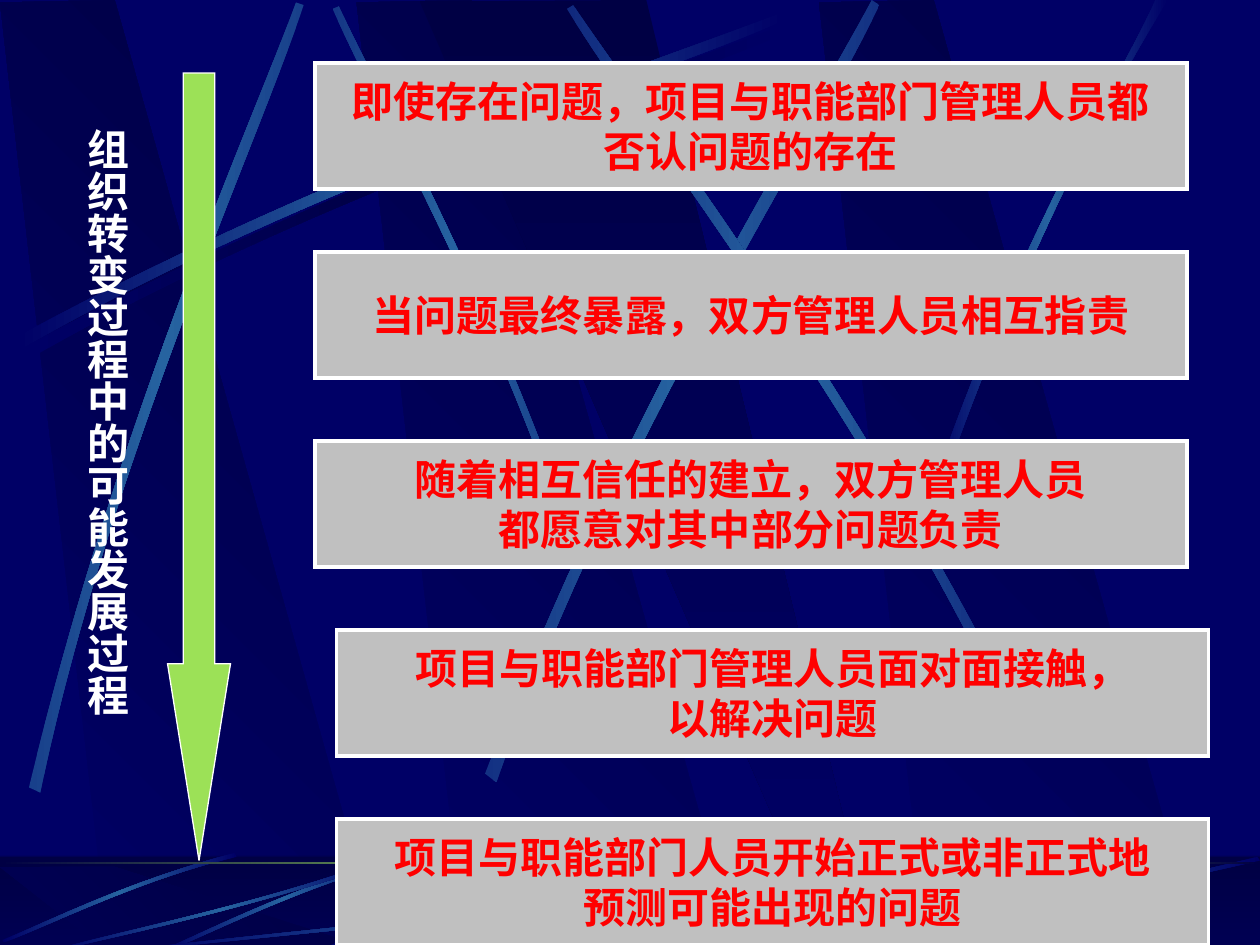
from dataclasses import dataclass

from lxml import etree
from pptx import Presentation
from pptx.dml.color import RGBColor
from pptx.enum.shapes import MSO_SHAPE
from pptx.enum.text import MSO_ANCHOR, MSO_AUTO_SIZE, PP_ALIGN
from pptx.oxml.ns import qn
from pptx.util import Inches, Pt

RECT, DOWN_ARROW = MSO_SHAPE.RECTANGLE, MSO_SHAPE.DOWN_ARROW
CENTER, MIDDLE = PP_ALIGN.CENTER, MSO_ANCHOR.MIDDLE
GROW = MSO_AUTO_SIZE.SHAPE_TO_FIT_TEXT

NAVY = RGBColor(0x00, 0x00, 0x66)
DARK = RGBColor(0x00, 0x00, 0x44)
BLUE = RGBColor(0x26, 0x63, 0xA0)
GREEN = RGBColor(0x9C, 0xE1, 0x57)
GREY = RGBColor(0xC0, 0xC0, 0xC0)
RED = RGBColor(0xFF, 0x00, 0x00)
WHITE = RGBColor(0xFF, 0xFF, 0xFF)
FONT = "Times New Roman"

Point = tuple[float, float]
FLOOR_TOP, FLOOR_SCALE = 6.88, 0.09


@dataclass
class Streak:
    """A thin blade between two Bezier edges; span is the gradient's width."""
    out: list[Point]
    back: list[Point]
    span: float = 0
    glow: RGBColor = BLUE


@dataclass
class Stage:
    left: float
    lines: list[str]


PANEL = [(0.86, 7.5), (3.02, 7.52), (0.91, 0), (0, 0.02)]
WEDGE = [(3.33, 0.01), (6.58, 7.51), (6.94, 7.51), (5.13, 0)]

WALL_STREAKS = [
    Streak([(0.2, 2.75), (2.84, 1.34), (5.24, 0.59), (6.26, 0.18)],
           [(6.29, 0.24), (5.28, 0.69), (2.54, 1.51), (0.23, 2.85)], glow=DARK),
    Streak([(4.6, 4.36), (3.91, 2.34), (3.02, 0.77), (2.69, 0.05)],
           [(2.64, 0.07), (2.95, 0.79), (3.98, 2.58), (4.54, 4.39)], 4.42),
    Streak([(0.14, 2.67), (2.78, 1.25), (5.18, 0.51), (6.2, 0.1)],
           [(6.23, 0.16), (5.22, 0.61), (2.48, 1.43), (0.17, 2.77)]),
    Streak([(0.23, 6.25), (0.93, 3.34), (1.97, 1.05), (2.35, 0.02)],
           [(2.41, 0.04), (2.07, 1.08), (0.86, 3.68), (0.32, 6.29)], 6.08),
    Streak([(3.85, 6.14), (4.98, 3.2), (6.38, 1.02), (6.92, 0)],
           [(6.98, 0.04), (6.49, 1.08), (4.86, 3.55), (3.94, 6.21)], 6.24),
    Streak([(8.06, 5.6), (6.7, 2.93), (5.16, 0.95), (4.55, 0.04)],
           [(4.5, 0.07), (5.07, 1.01), (6.85, 3.25), (7.99, 5.66)], 6.08),
    Streak([(7.38, 3.93), (8.14, 1.73), (8.88, 0.66), (9.17, 0)],
           [(9.27, 0), (8.36, 1.45), (7.69, 3.22), (7.44, 3.97)]),
]


def steep(dx: float) -> Streak:
    return Streak([(x + dx, y) for x, y in [(3.17, 6.8), (2.3, 7.05), (1.62, 7.4), (1.31, 7.53)]],
                  [(x + dx, y) for x, y in [(1.32, 7.55), (1.63, 7.43), (2.4, 7.03), (3.19, 6.83)]])


def shallow(left: float, width: float, top: float = 6.8) -> Streak:
    """A floor streak fitted between top and the slide's foot."""
    def fit(points: list[Point]) -> list[Point]:
        return [(left + x * width, top + y * (7.55 - top)) for x, y in points]
    return Streak(fit([(1, 0.04), (0.57, 0.57), (0.17, 0.85), (0.005, 1)]),
                  fit([(0, 0.99), (0.165, 0.81), (0.615, 0.51), (0.995, 0)]))


FLOOR_STREAKS = [
    Streak([(6.27, 6.82), (5.37, 7.09), (4.77, 7.42), (4.48, 7.54)],
           [(4.53, 7.55), (4.9, 7.37), (5.71, 7), (6.28, 6.85)]),
    steep(1.25), steep(0),
    Streak([(1.86, 6.77), (0.99, 7), (0.33, 7.34), (0.02, 7.46)],
           [(0.03, 7.48), (0.34, 7.37), (1.1, 6.98), (1.88, 6.8)]),
    shallow(1, 6.17), shallow(0.42, 2.67), shallow(5.27, 2.31, 6.89),
    shallow(6.92, 2.67), shallow(6, 4),
]

STAGES = [
    Stage(2.5, ["即使存在问题，项目与职能部门管理人员都", "否认问题的存在"]),
    Stage(2.5, ["当问题最终暴露，双方管理人员相互指责"]),
    Stage(2.5, ["随着相互信任的建立，双方管理人员", "都愿意对其中部分问题负责"]),
    Stage(2.67, ["项目与职能部门管理人员面对面接触，", "以解决问题"]),
    Stage(2.67, ["项目与职能部门人员开始正式或非正式地", "预测可能出现的问题"]),
]


def set_gradient(sp, colors: list[RGBColor], angle: int) -> None:
    """Fill with evenly spaced stops; angle is clockwise degrees."""
    sp.fill.gradient()
    grad = sp._element.spPr.find(qn("a:gradFill"))
    stops = grad.find(qn("a:gsLst"))
    for stop in list(stops):
        stops.remove(stop)
    for i, color in enumerate(colors):
        gs = etree.SubElement(stops, qn("a:gs"), pos=str(100000 * i // (len(colors) - 1)))
        etree.SubElement(gs, qn("a:srgbClr"), val=str(color))
    grad.find(qn("a:lin")).set("ang", str(angle * 60000))


def add_outline(parent, points: list[Point], colors: list[RGBColor], angle: int):
    pts = [(Inches(x), Inches(y)) for x, y in points]
    builder = parent.shapes.build_freeform(*pts[0], scale=1.0)
    builder.add_line_segments(pts[1:], close=True)
    sp = builder.convert_to_shape()
    sp.shadow.inherit = False
    sp.line.fill.background()
    set_gradient(sp, colors, angle)
    return sp


def add_shape(parent, kind, left: float, top: float, width: float, height: float):
    sp = parent.shapes.add_shape(kind, Inches(left), Inches(top), Inches(width), Inches(height))
    sp.shadow.inherit = False
    sp.line.fill.background()
    return sp


def set_solid(sp, color: RGBColor, line_width: float) -> None:
    sp.fill.solid()
    sp.fill.fore_color.rgb = color
    sp.line.color.rgb = WHITE
    sp.line.width = Pt(line_width)
    etree.SubElement(sp._element.spPr.find(qn("a:ln")), qn("a:miter"), lim="800000")


def add_streak(parent, streak: Streak) -> None:
    points = streak.out + streak.back
    xs = [x for x, _ in points]
    # Where the gradient is wider than the blade, its ends keep part of the glow
    glow = 1 - (max(xs) - min(xs)) / streak.span if streak.span else 0
    edge = RGBColor(*(round(n + (g - n) * glow) for n, g in zip(NAVY, streak.glow)))
    sp = add_outline(parent, points, [edge, streak.glow, edge], 0)
    # Turn the three segments of each edge into one cubic curve
    outline = next(sp._element.iter(qn("a:path")))
    segments = outline.findall(qn("a:lnTo"))
    for edge_segments in (segments[:3], segments[4:7]):
        curve = etree.Element(qn("a:cubicBezTo"))
        edge_segments[0].addprevious(curve)
        for segment in edge_segments:
            curve.append(segment[0])
            outline.remove(segment)


def add_panels(parent, top: float = 0, scale: float = 1) -> None:
    def place(points: list[Point], dx: float = 0) -> list[Point]:
        return [(x + dx, top + y * scale) for x, y in points]
    for dx in (2.83, 0, 6.5):
        add_outline(parent, place(PANEL, dx), [NAVY, DARK], 315)
    add_outline(parent, place(WEDGE), [DARK, NAVY], 90)


def add_backdrop(prs, s) -> None:
    """Draw the backdrop as a group and hand it to the slide master."""
    master = prs.slide_master
    master.background.fill.solid()
    master.background.fill.fore_color.rgb = NAVY
    group = s.shapes.add_group_shape()
    # Wall
    add_panels(group)
    for streak in WALL_STREAKS:
        add_streak(group, streak)
    # Floor, dimmed by a half-transparent sheet, and the horizon
    set_gradient(add_shape(group, RECT, 0, 6.8, 10, 0.75), [DARK, NAVY], 90)
    add_panels(group, FLOOR_TOP, FLOOR_SCALE)
    sheet = add_shape(group, RECT, 0, 6.79, 10, 0.75)
    sheet.fill.solid()
    sheet.fill.fore_color.rgb = DARK
    color = sheet._element.spPr.find(qn("a:solidFill"))[0]
    etree.SubElement(color, qn("a:alpha"), val="50000")
    for streak in FLOOR_STREAKS:
        add_streak(group, streak)
    set_gradient(add_shape(group, RECT, 0, 6.84, 10, 0.02), [DARK, GREEN, DARK], 0)
    master.shapes._spTree.insert(2, group._element)


def add_run(p, text: str, color: RGBColor) -> None:
    r = p.add_run()
    r.text = text
    r.font.name, r.font.size, r.font.bold = FONT, Pt(24), True
    r.font.color.rgb = color


def add_stage(s, stage: Stage, top: float) -> None:
    sp = add_shape(s, RECT, stage.left, top, 6.92, 1)
    set_solid(sp, GREY, 2)
    tf = sp.text_frame
    tf.word_wrap = False
    tf.vertical_anchor = MIDDLE
    for i, line in enumerate(stage.lines):
        p = tf.add_paragraph() if i else tf.paragraphs[0]
        p.alignment = CENTER
        add_run(p, line, RED)


def main() -> None:
    prs = Presentation()
    prs.slide_width, prs.slide_height = Inches(10), Inches(7.5)
    s = prs.slides.add_slide(prs.slide_layouts[6])
    add_backdrop(prs, s)

    # Arrow and vertical heading
    arrow = add_shape(s, DOWN_ARROW, 1.33, 0.58, 0.5, 6.25)
    arrow.adjustments[0], arrow.adjustments[1] = 0.5, 3.125
    set_solid(arrow, GREEN, 0.75)
    tf = s.shapes.add_textbox(Inches(0.5), Inches(0.92), Inches(0.6), Inches(5)).text_frame
    tf.word_wrap = True
    tf.auto_size = GROW
    tf.margin_left = tf.margin_right = Inches(0.05)
    tf.margin_top = tf.margin_bottom = Inches(0.1)
    tf._txBody.bodyPr.set("vert", "eaVert")
    p = tf.paragraphs[0]
    p.space_before = Pt(15)
    add_run(p, "组织转变过程中的可能发展过程", WHITE)

    # Stages
    for i, stage in enumerate(STAGES):
        add_stage(s, stage, 0.5 + 1.5 * i)

    prs.save("out.pptx")


if __name__ == "__main__":
    main()
